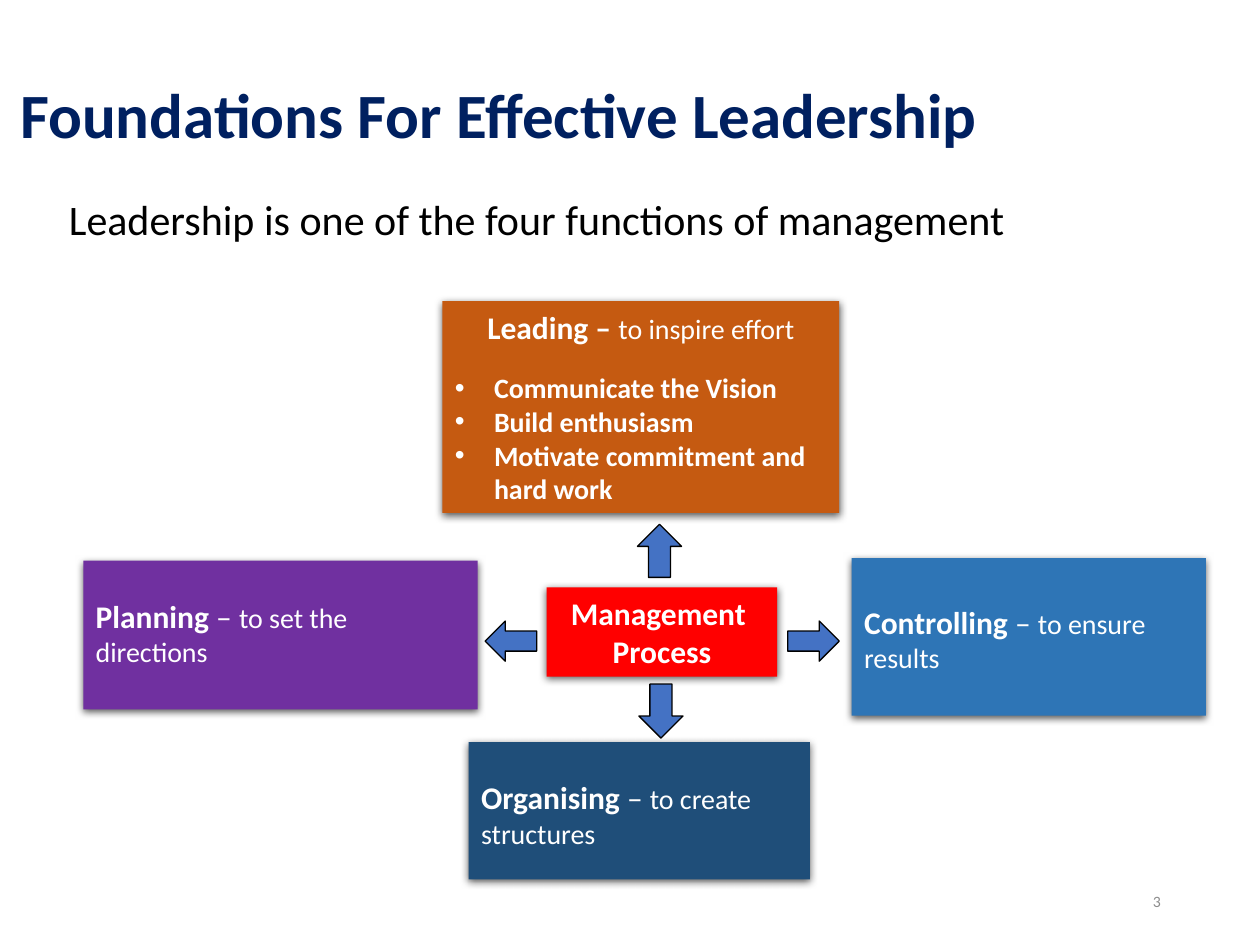
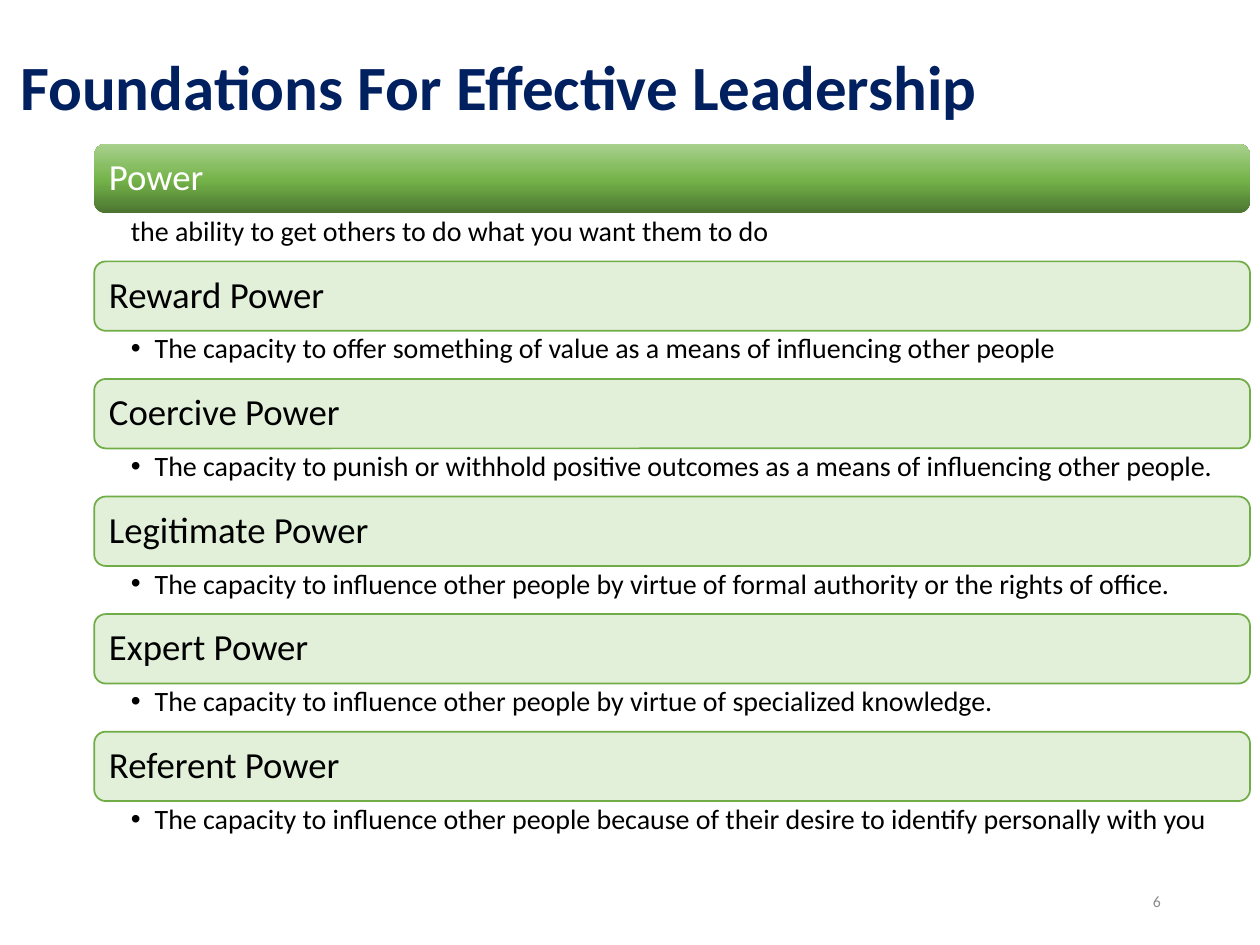
from lxml.etree import SubElement
from pptx import Presentation
from pptx.dml.color import RGBColor
from pptx.enum.shapes import MSO_SHAPE as Shape
from pptx.enum.text import MSO_ANCHOR as Anchor, PP_ALIGN as Align
from pptx.oxml.ns import qn
from pptx.util import Cm, Pt

# Shared style
FONT = "Calibri"
WHITE = RGBColor(0xFF, 0xFF, 0xFF)
BLACK = RGBColor(0x00, 0x00, 0x00)
NAVY = RGBColor(0x00, 0x20, 0x60)
GREY = RGBColor(0x8C, 0x8C, 0x8C)
RED = RGBColor(0xFF, 0x00, 0x00)
ORANGE = RGBColor(0xC5, 0x5A, 0x11)
BLUE = RGBColor(0x2E, 0x75, 0xB6)
DARK_BLUE = RGBColor(0x1F, 0x4E, 0x79)
PURPLE = RGBColor(0x70, 0x30, 0xA0)
ARROW_BLUE = RGBColor(0x44, 0x72, 0xC4)
PALE_GREEN = RGBColor(0xE2, 0xF0, 0xD9)
GREEN = RGBColor(0x70, 0xAD, 0x47)
GREEN_STOPS = [(0, RGBColor(0x4B, 0x74, 0x30)),
               (48, RGBColor(0x74, 0xB3, 0x49)),
               (100, RGBColor(0xA9, 0xD1, 0x8E))]
INSETS = (0.25, 0.13, 0.25, 0.13)

# Content; lengths in cm, spans as (text, size, bold)
TITLE = "Foundations For Effective Leadership"
STATEMENT = "Leadership is one of the four functions of management"

PROCESS_FRAME = (11.02, 11.84, 4.65, 1.8)
PROCESS_LINES = ["Management ", "Process"]

LEADING_FRAME = (8.92, 6.07, 8, 4.27)
LEADING_HEADING = [("Leading – ", 18, True), ("to inspire effort", 16, False)]
LEADING_POINTS = ["Communicate the Vision", "Build enthusiasm",
                  "Motivate commitment and hard work"]

# Frame, colour, top inset, function, purpose
FUNCTIONS = [
    ((17.17, 11.25, 7.14, 3.18), BLUE, 0.9, "Controlling", "to ensure results"),
    ((9.45, 14.96, 6.88, 2.77), DARK_BLUE, 0.73, "Organising", "to create structures"),
    ((1.68, 11.3, 7.95, 3), PURPLE, 0.73, "Planning", "to set the directions"),
]
ARROWS = [
    (Shape.LEFT_ARROW, (9.78, 12.52, 1.04, 0.81)),
    (Shape.DOWN_ARROW, (12.88, 13.79, 0.89, 1.09)),
    (Shape.UP_ARROW, (12.85, 10.57, 0.89, 1.07)),
    (Shape.RIGHT_ARROW, (15.88, 12.52, 1.04, 0.81)),
]

POWERS = [
    ("Power", "the ability to get others to do what you want them to do"),
    ("Reward Power", "The capacity to offer something of value as a means of "
                     "influencing other people"),
    ("Coercive Power", "The capacity to punish or withhold positive outcomes as a "
                       "means of influencing other people."),
    ("Legitimate Power", "The capacity to influence other people by virtue of formal "
                         "authority or the rights of office."),
    ("Expert Power", "The capacity to influence other people by virtue of "
                     "specialized knowledge."),
    ("Referent Power", "The capacity to influence other people because of their "
                       "desire to identify personally with you"),
]
BAR_LEFT, BAR_TOP, BAR_WIDTH, BAR_HEIGHT = 1.9, 2.9, 23.3, 1.4
DETAIL_HEIGHT, ROW_PITCH = 0.97, 2.37


# Text helpers
def prepare_frame(shape, anchor=Anchor.TOP, insets=INSETS):
    frame = shape.text_frame
    frame.word_wrap = True
    frame.vertical_anchor = anchor
    (frame.margin_left, frame.margin_top,
     frame.margin_right, frame.margin_bottom) = map(Cm, insets)
    return frame


def write_spans(para, spans, colour, align=Align.LEFT):
    para.alignment = align
    for text, size, bold in spans:
        span = para.add_run()
        span.text = text
        span.font.name = FONT
        span.font.size = Pt(size)
        span.font.bold = bold
        span.font.color.rgb = colour


def add_bullet(para, indent):
    props = para._p.get_or_add_pPr()
    props.set("marL", str(Cm(indent)))
    props.set("indent", str(-Cm(indent)))
    SubElement(props, qn("a:buFont"), typeface="Arial")
    SubElement(props, qn("a:buChar"), char="•")


def add_label(page, frame, spans, colour, align=Align.LEFT, **layout):
    box = page.shapes.add_textbox(*map(Cm, frame))
    para = prepare_frame(box, **layout).paragraphs[0]
    write_spans(para, spans, colour, align)
    return para


# Shape helpers
def add_filled(page, kind, frame, fill, line=None, width=1):
    shape = page.shapes.add_shape(kind, *map(Cm, frame))
    shape.shadow.inherit = False
    shape.fill.solid()
    shape.fill.fore_color.rgb = fill
    if line is None:
        shape.line.fill.background()
    else:
        shape.line.color.rgb = line
        shape.line.width = Pt(width)
    return shape


def add_shadowed(page, frame, fill):
    box = add_filled(page, Shape.RECTANGLE, frame, fill)
    effects = box._element.spPr.find(qn("a:effectLst"))
    shadow = SubElement(effects, qn("a:outerShdw"), blurRad=str(Pt(4.5)),
                        dist=str(Pt(1.5)), dir="5400000", rotWithShape="0")
    tint = SubElement(shadow, qn("a:srgbClr"), val=str(BLACK))
    SubElement(tint, qn("a:alpha"), val="63000")
    return box


def fill_upwards(shape, stops):
    shape.fill.gradient()
    shape.fill.gradient_angle = 90
    stop_list = shape._element.spPr.find(".//" + qn("a:gsLst"))
    for stop in list(stop_list):
        stop_list.remove(stop)
    for position, colour in stops:
        stop = SubElement(stop_list, qn("a:gs"), pos=str(position * 1000))
        SubElement(stop, qn("a:srgbClr"), val=str(colour))


def add_page(deck, title_top, number):
    page = deck.slides.add_slide(deck.slide_layouts[6])
    add_label(page, (0.28, title_top, 24.5, 2), [(TITLE, 36, True)], NAVY,
              anchor=Anchor.MIDDLE, insets=(0.13,) * 4)
    add_label(page, (17.93, 17.65, 5.72, 1.02), [(number, 9, False)], GREY,
              Align.RIGHT, anchor=Anchor.MIDDLE)
    return page


# Slides
def build_functions(deck):
    page = add_page(deck, 1.28, "3")
    add_label(page, (1.14, 3.78, 24.2, 3), [(STATEMENT, 24, False)], BLACK)

    # Centre box
    frame = prepare_frame(add_shadowed(page, PROCESS_FRAME, RED))
    frame.text = "\n".join("" for _ in PROCESS_LINES)
    for para, text in zip(frame.paragraphs, PROCESS_LINES):
        write_spans(para, [(text, 18, True)], WHITE, Align.CENTER)

    # Leading, with its points
    frame = prepare_frame(add_shadowed(page, LEADING_FRAME, ORANGE))
    write_spans(frame.paragraphs[0], LEADING_HEADING, WHITE, Align.CENTER)
    for index, text in enumerate(LEADING_POINTS):
        para = frame.add_paragraph()
        add_bullet(para, 0.79)
        para.space_before = Pt(0 if index else 14.6)
        write_spans(para, [(text, 16, True)], WHITE)

    # The other functions
    for place, colour, top_inset, name, purpose in FUNCTIONS:
        box = add_shadowed(page, place, colour)
        frame = prepare_frame(box, insets=(0.25, top_inset, 0.25, 0.13))
        spans = [(name, 18, True), (" – ", 18, False), (purpose, 16, False)]
        write_spans(frame.paragraphs[0], spans, WHITE)

    for kind, place in ARROWS:
        add_filled(page, kind, place, ARROW_BLUE, BLACK, 0.75)


def build_powers(deck):
    page = add_page(deck, 0.72, "6")
    for row, (name, detail) in enumerate(POWERS):
        is_lead = row == 0
        top = BAR_TOP + row * ROW_PITCH

        # Heading bar
        bar = add_filled(page, Shape.ROUNDED_RECTANGLE,
                         (BAR_LEFT, top, BAR_WIDTH, BAR_HEIGHT),
                         PALE_GREEN, None if is_lead else GREEN)
        if is_lead:
            fill_upwards(bar, GREEN_STOPS)
        para = prepare_frame(bar, Anchor.MIDDLE, (0.23,) * 4).paragraphs[0]
        para.line_spacing = 0.9
        write_spans(para, [(name, 21, False)], WHITE if is_lead else BLACK)

        # Explanation under the bar
        para = add_label(page, (BAR_LEFT, top + BAR_HEIGHT, BAR_WIDTH, DETAIL_HEIGHT),
                         [(detail, 16, False)], BLACK, insets=(0.74, 0.08, 0.41, 0.08))
        if not is_lead:
            add_bullet(para, 0.48)
        para.line_spacing = 0.9


def main():
    deck = Presentation()
    deck.slide_width, deck.slide_height = Cm(25.4), Cm(19.05)
    build_functions(deck)
    build_powers(deck)
    deck.save("out.pptx")


if __name__ == "__main__":
    main()
